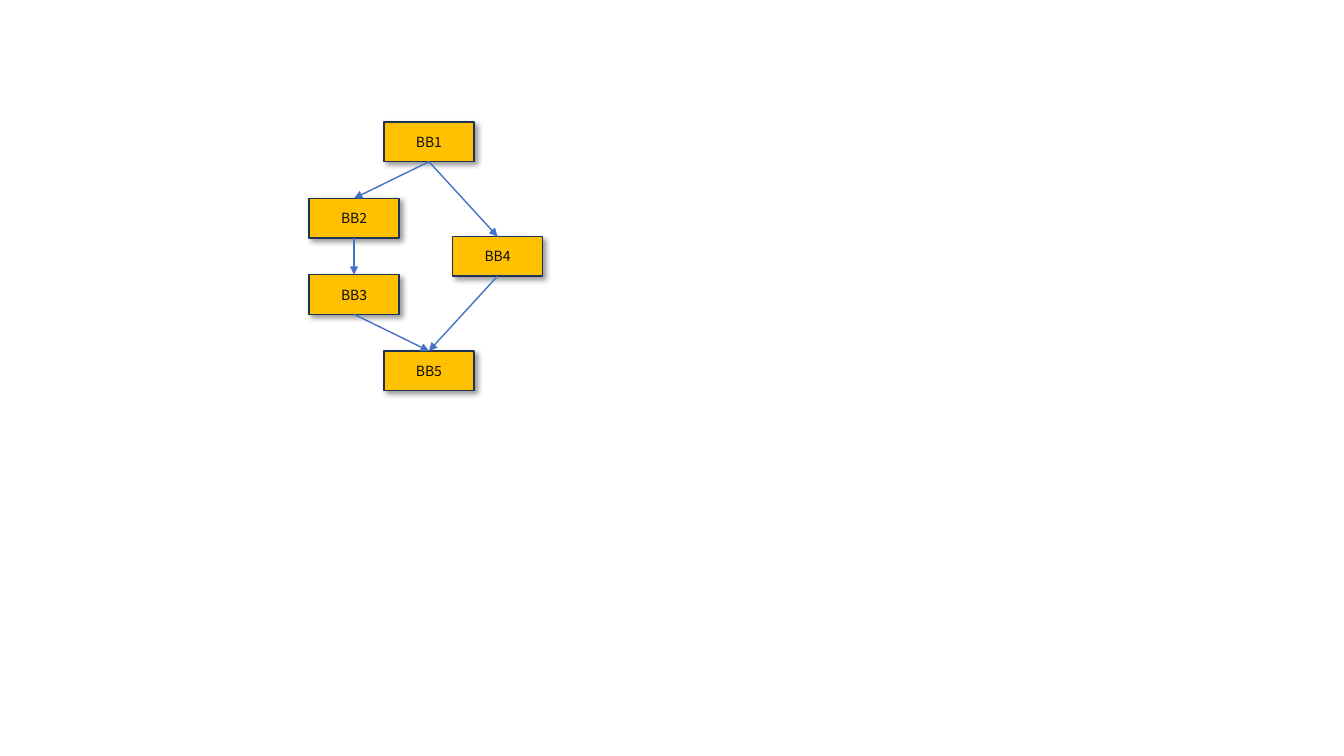
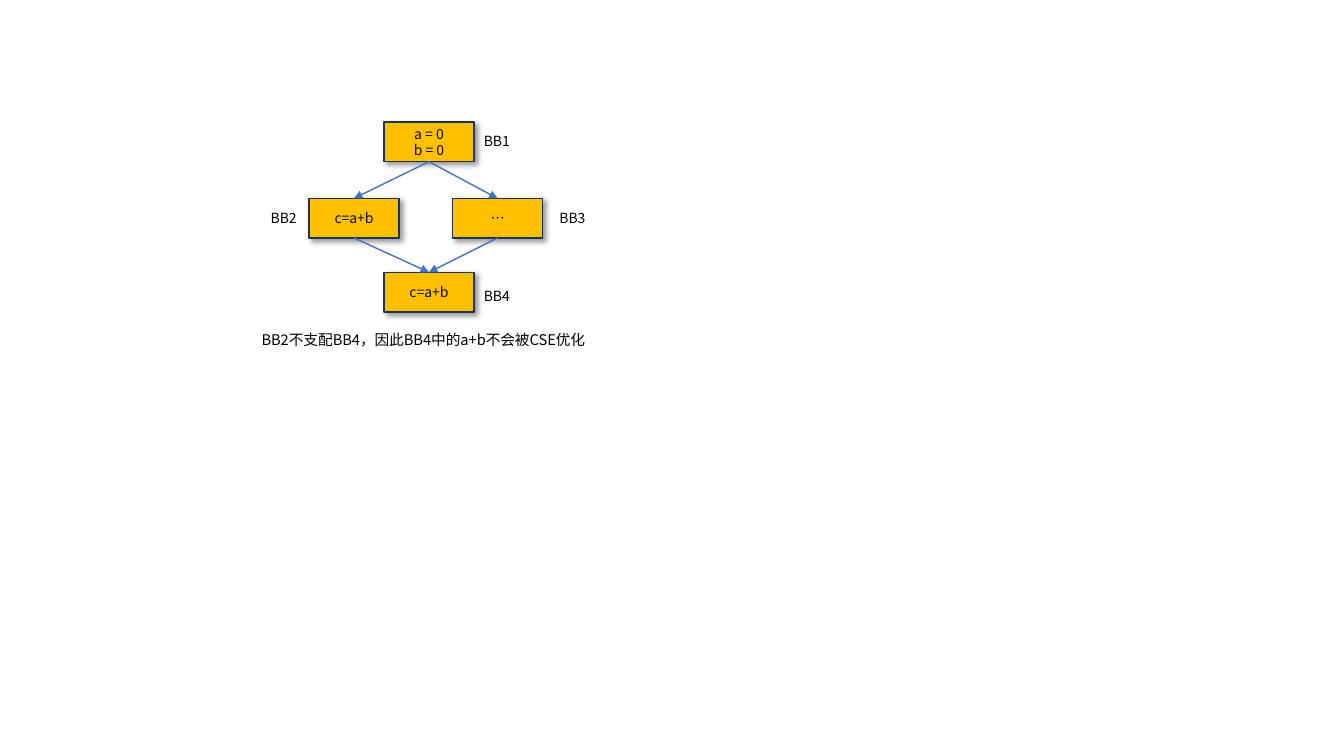
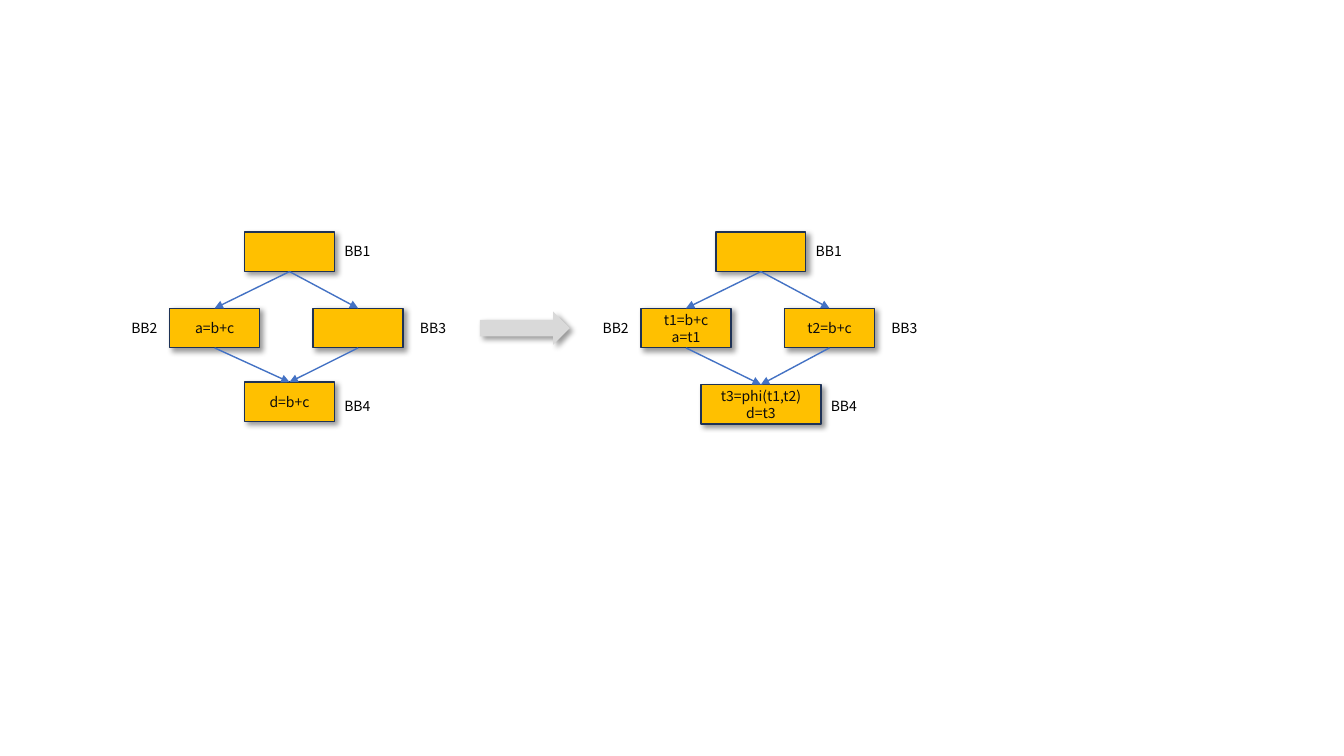
from lxml import etree
from pptx import Presentation
from pptx.dml.color import RGBColor
from pptx.enum import shapes, text
from pptx.oxml import ns, parse_xml
from pptx.util import Pt

COLORS = {
    "block": "FFC000",
    "border": "1E3256",
    "edge": "4472C4",
    "arrow": "D9D9D9",
    "code": "0D0D0D",
    "label": "000000",
    "shadow": "000000",
}
FONT = "Noto Sans CJK SC"
BOX_W, BOX_H = 64.2, 28.3
LABEL_W, LABEL_H = 33, 19.4
ROW = 54.5                # distance between block rows
LEFT, RIGHT = -53.5, 49   # branch centres, from the entry block's centre
TOP, BOTTOM = 0, 2        # connection sites

SHADOW = (
    f'<a:outerShdw {ns.nsdecls("a")} blurRad="{Pt(4)}" dist="{Pt(3)}" '
    f'dir="{45 * 60000}" algn="tl" rotWithShape="0">'
    f'<a:srgbClr val="{COLORS["shadow"]}"><a:alpha val="40000"/></a:srgbClr>'
    "</a:outerShdw>"
)


def rgb(name):
    return RGBColor.from_string(COLORS[name])


def apply(obj, formats):
    for name, value in formats.items():
        setattr(obj, name, value)


def write(sp, lines, color, size=10, align=text.PP_ALIGN.LEFT):
    tf = sp.text_frame
    for i, line in enumerate(lines):
        p = tf.add_paragraph() if i else tf.paragraphs[0]
        apply(p, {"alignment": align, "line_spacing": Pt(size * 1.2)})
        r = p.add_run()
        r.text = line
        apply(r.font, {"size": Pt(size), "name": FONT})
        r.font.color.rgb = rgb(color)
        # East Asian typeface
        ea = etree.SubElement(r._r.get_or_add_rPr(), ns.qn("a:ea"))
        ea.set("typeface", FONT)


def add_shadowed(sl, kind, x, y, w, h, fill):
    sp = sl.shapes.add_shape(kind, Pt(x), Pt(y), Pt(w), Pt(h))
    sp.fill.solid()
    sp.fill.fore_color.rgb = rgb(fill)
    sp.line.fill.background()
    sp.shadow.inherit = False
    sp._element.spPr.find(ns.qn("a:effectLst")).append(parse_xml(SHADOW))
    return sp


def add_block(sl, cx, y, lines=(), w=BOX_W):
    """Basic block centred on cx."""
    sp = add_shadowed(sl, shapes.MSO_SHAPE.RECTANGLE, cx - w / 2, y, w, BOX_H, "block")
    sp.line.color.rgb = rgb("border")
    sp.line.width = Pt(1)
    apply(sp.text_frame, {
        "margin_left": 0, "margin_right": 0, "margin_top": 0, "margin_bottom": 0,
        "vertical_anchor": text.MSO_ANCHOR.MIDDLE, "word_wrap": True,
    })
    write(sp, lines, "code", align=text.PP_ALIGN.CENTER)
    return sp


def add_edge(sl, start, end):
    """Control-flow arrow from the bottom of one block to the top of the next."""
    c = sl.shapes.add_connector(shapes.MSO_CONNECTOR.STRAIGHT, 0, 0, 0, 0)
    c.begin_connect(start, BOTTOM)
    c.end_connect(end, TOP)
    c.line.color.rgb = rgb("edge")
    c.line.width = Pt(1)
    sp_pr = c._element.spPr
    tail = etree.SubElement(sp_pr.find(ns.qn("a:ln")), ns.qn("a:tailEnd"))
    tail.set("type", "triangle")
    etree.SubElement(sp_pr, ns.qn("a:effectLst"))


def add_label(sl, x, y, line, w=LABEL_W, size=10, wrap=False):
    sp = sl.shapes.add_textbox(Pt(x), Pt(y), Pt(w), Pt(LABEL_H))
    sp.text_frame.word_wrap = wrap
    write(sp, [line], "label", size)


def add_diamond(sl, cx, y, entry, left, right, merge, drop=107.3, merge_w=BOX_W):
    """Four labelled blocks: entry, two branches, merge."""
    bb1 = add_block(sl, cx, y, entry)
    bb2 = add_block(sl, cx + LEFT, y + ROW, left)
    bb3 = add_block(sl, cx + RIGHT, y + ROW, right)
    bb4 = add_block(sl, cx, y + drop, merge, merge_w)
    for start, end in ((bb1, bb2), (bb1, bb3), (bb3, bb4), (bb2, bb4)):
        add_edge(sl, start, end)

    half = BOX_W / 2
    for dx, dy, name in (
        (half, 4.3, "BB1"),
        (LEFT - half - 34.5, ROW + 4.3, "BB2"),
        (RIGHT + half + 5, ROW + 4.3, "BB3"),
        (merge_w / 2, 114.5, "BB4"),
    ):
        add_label(sl, cx + dx, y + dy, name)


def build_flow_graph(sl):
    cx, y = 306.4, 87.2
    # name: (centre offset, row)
    places = {"BB1": (0, 0), "BB2": (LEFT, 1), "BB3": (LEFT, 2),
              "BB4": (RIGHT, 1.5), "BB5": (0, 3)}
    blocks = {name: add_block(sl, cx + dx, y + row * ROW, [name])
              for name, (dx, row) in places.items()}
    for start, end in (("BB1", "BB2"), ("BB1", "BB4"), ("BB2", "BB3"),
                       ("BB4", "BB5"), ("BB3", "BB5")):
        add_edge(sl, blocks[start], blocks[end])


def build_dominance(sl):
    add_diamond(sl, 306.4, 87.2, ["a = 0", "b = 0"], ["c=a+b"], ["…"], ["c=a+b"])
    add_label(sl, 179.8, 232.6, "BB2不支配BB4，因此BB4中的a+b不会被CSE优化",
              w=305, size=10.5, wrap=True)


def build_phi(sl):
    y = 165.7
    add_diamond(sl, 206.8, y, [], ["a=b+c"], [], ["d=b+c"])
    add_shadowed(sl, shapes.MSO_SHAPE.RIGHT_ARROW, 342.8, 222.5, BOX_W, 23.8, "arrow")
    add_diamond(sl, 543.5, y, [], ["t1=b+c", "a=t1"], ["t2=b+c"],
                ["t3=phi(t1,t2)", "d=t3"], drop=2 * ROW, merge_w=85.8)


def main():
    prs = Presentation()
    apply(prs, {"slide_width": Pt(960), "slide_height": Pt(540)})
    for build in (build_flow_graph, build_dominance, build_phi):
        build(prs.slides.add_slide(prs.slide_layouts[6]))
    prs.save("out.pptx")


if __name__ == "__main__":
    main()
